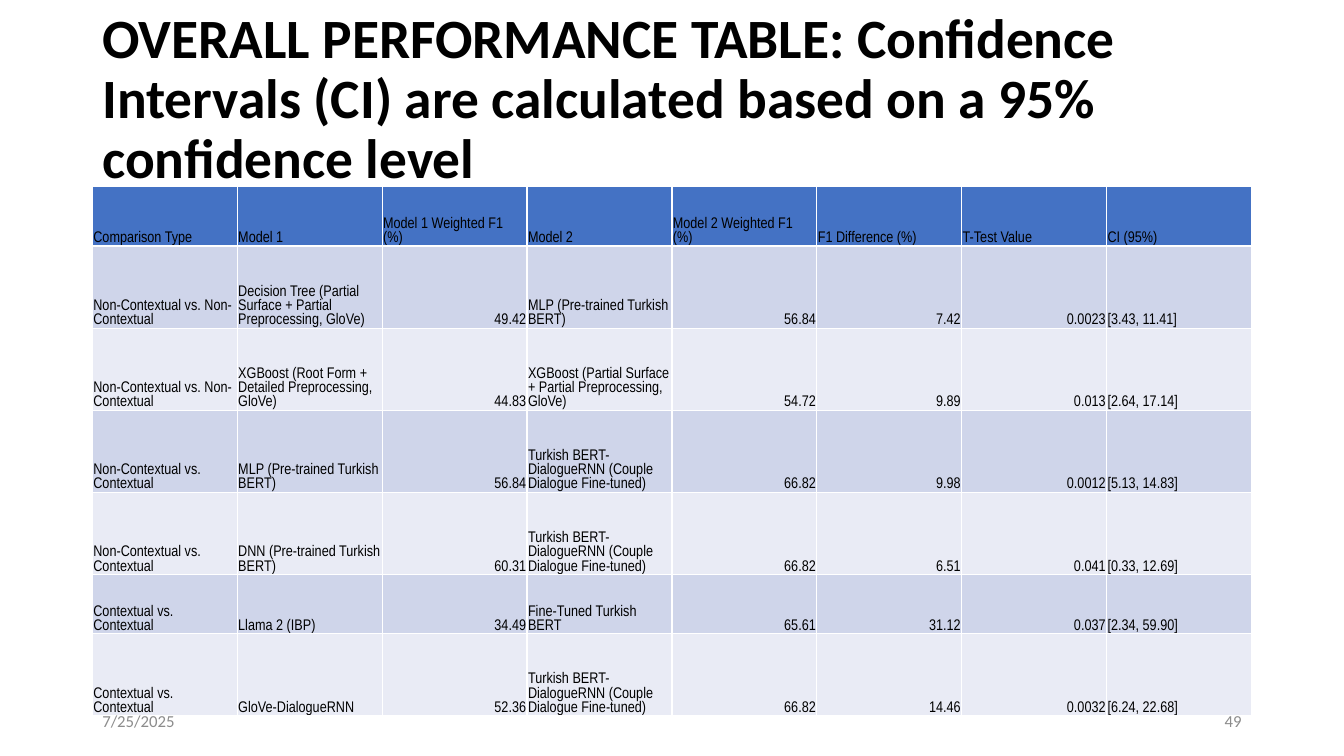
import pptx
import pptx.dml.color
import pptx.enum.text
import pptx.util

Pt = pptx.util.Pt
ALIGN = pptx.enum.text.PP_ALIGN
ANCHOR = pptx.enum.text.MSO_ANCHOR

BLACK = pptx.dml.color.RGBColor(0x00, 0x00, 0x00)
GRAY = pptx.dml.color.RGBColor(0x8C, 0x8C, 0x8C)
HEADER_BLUE = pptx.dml.color.RGBColor(0x44, 0x72, 0xC4)
BAND_DARK = pptx.dml.color.RGBColor(0xCF, 0xD5, 0xEA)
BAND_LIGHT = pptx.dml.color.RGBColor(0xE9, 0xEB, 0xF5)

TITLE = ("OVERALL PERFORMANCE TABLE: Confidence Intervals (CI) are calculated "
         "based on a 95% confidence level")
HEADERS = ["Comparison Type", "Model 1", "Model 1 Weighted F1 (%)", "Model 2",
           "Model 2 Weighted F1 (%)", "F1 Difference (%)", "T-Test Value", "CI (95%)"]
NON_VS_NON = "Non-Contextual vs. Non-Contextual"
NON_VS_CONTEXTUAL = "Non-Contextual vs. Contextual"
BOTH_CONTEXTUAL = "Contextual vs. Contextual"
MLP = "MLP (Pre-trained Turkish BERT)"
DIALOGUE_RNN = "Turkish BERT-DialogueRNN (Couple Dialogue Fine-tuned)"
RESULTS = [
    [NON_VS_NON, "Decision Tree (Partial Surface + Partial Preprocessing, GloVe)",
     "49.42", MLP, "56.84", "7.42", "0.0023", "[3.43, 11.41]"],
    [NON_VS_NON, "XGBoost (Root Form + Detailed Preprocessing, GloVe)",
     "44.83", "XGBoost (Partial Surface + Partial Preprocessing, GloVe)",
     "54.72", "9.89", "0.013", "[2.64, 17.14]"],
    [NON_VS_CONTEXTUAL, MLP,
     "56.84", DIALOGUE_RNN, "66.82", "9.98", "0.0012", "[5.13, 14.83]"],
    [NON_VS_CONTEXTUAL, "DNN (Pre-trained Turkish BERT)",
     "60.31", DIALOGUE_RNN, "66.82", "6.51", "0.041", "[0.33, 12.69]"],
    [BOTH_CONTEXTUAL, "Llama 2 (IBP)",
     "34.49", "Fine-Tuned Turkish BERT", "65.61", "31.12", "0.037", "[2.34, 59.90]"],
    [BOTH_CONTEXTUAL, "GloVe-DialogueRNN",
     "52.36", DIALOGUE_RNN, "66.82", "14.46", "0.0032", "[6.24, 22.68]"],
]
NUMBER_COLUMNS = (2, 4, 5, 6)
SHORT_ROWS = (0, 5)
SHORT_HEIGHT, TALL_HEIGHT = 42.6, 58.6


def format_text(text_frame, size, color, font_name="Calibri", bold=False, align=ALIGN.LEFT):
    paragraph = text_frame.paragraphs[0]
    paragraph.alignment = align
    for run in paragraph.runs:
        run.font.name = font_name
        run.font.size = Pt(size)
        run.font.bold = bold
        run.font.color.rgb = color
    return paragraph


def add_text(slide, text, left, top, width, height, size, color, bold=False, align=ALIGN.LEFT):
    text_frame = slide.shapes.add_textbox(Pt(left), Pt(top), Pt(width), Pt(height)).text_frame
    text_frame.word_wrap = True
    text_frame.vertical_anchor = ANCHOR.MIDDLE
    text_frame.text = text
    return format_text(text_frame, size, color, bold=bold, align=align)


def add_title(slide, left, top, width, height):
    paragraph = add_text(slide, TITLE, left, top, width, height, 39.6, BLACK, bold=True)
    paragraph.line_spacing = 0.9


def fill_cell(cell, text, color, align):
    cell.margin_left = cell.margin_top = cell.margin_right = Pt(0.7)
    cell.margin_bottom = Pt(0)
    cell.vertical_anchor = ANCHOR.BOTTOM
    cell.fill.solid()
    cell.fill.fore_color.rgb = color
    cell.text_frame.text = text
    format_text(cell.text_frame, 11, BLACK, "Arial Narrow", align=align)


def add_results_table(slide, left, top, width):
    rows = [HEADERS] + RESULTS
    heights = [SHORT_HEIGHT if index in SHORT_ROWS else TALL_HEIGHT for index in range(len(rows))]
    table = slide.shapes.add_table(len(rows), len(HEADERS), Pt(left), Pt(top),
                                   Pt(width), Pt(sum(heights))).table
    for column in table.columns:
        column.width = Pt(width / len(HEADERS))
    for row_index, row in enumerate(rows):
        table.rows[row_index].height = Pt(heights[row_index])
        is_header = row_index == 0
        band = BAND_DARK if row_index % 2 else BAND_LIGHT
        for column_index, text in enumerate(row):
            is_number = column_index in NUMBER_COLUMNS and not is_header
            fill_cell(table.cell(row_index, column_index), text,
                      HEADER_BLUE if is_header else band,
                      ALIGN.RIGHT if is_number else ALIGN.LEFT)


def add_footer(slide, left, top, width, height):
    box_width = 216
    add_text(slide, "7/25/2025", left, top, box_width, height, 12, GRAY)
    add_text(slide, "49", left + width - box_width, top, box_width, height, 12, GRAY,
             align=ALIGN.RIGHT)


def main():
    presentation = pptx.Presentation()
    presentation.slide_width = Pt(960)
    presentation.slide_height = Pt(540)
    slide = presentation.slides.add_slide(presentation.slide_layouts[6])
    left, width = 66, 828
    add_title(slide, left, 10.8, width, 122.4)
    add_results_table(slide, left, 133.2, width)
    add_footer(slide, left, 500.5, width, 28.8)
    presentation.save("out.pptx")


if __name__ == "__main__":
    main()
